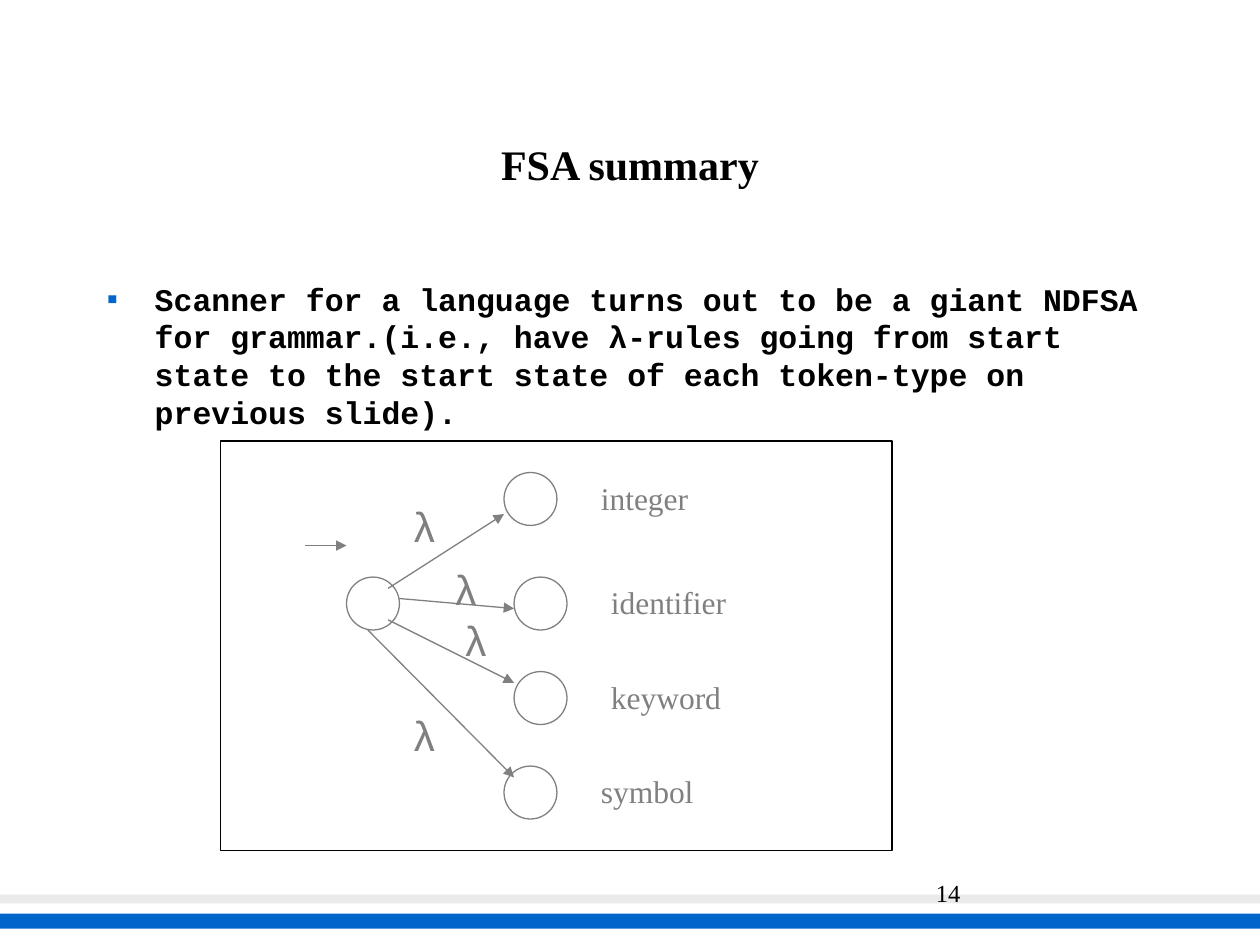
from pptx import Presentation
from pptx.dml.color import RGBColor
from pptx.enum.shapes import MSO_CONNECTOR as Connector, MSO_SHAPE as Shape
from pptx.enum.text import MSO_ANCHOR as Anchor, MSO_AUTO_SIZE as AutoSize, PP_ALIGN as Align
from pptx.oxml.ns import qn
from pptx.util import Inches, Pt
from lxml import etree

BLACK, GREY, WHITE, BLUE, PALE = "000000", "808080", "FFFFFF", "0066CC", "EAEAEA"
SERIF, MONO = "Times New Roman", "Courier New"
STATE_SIZE = 0.42


def color(value):
    return RGBColor.from_string(value)


class SlideBuilder:
    def __init__(self, page):
        self.page = page
        self.line_width = Pt(0.75)

    def shape(self, kind, left, top, width, height, fill, line=None):
        item = self.page.shapes.add_shape(
            kind, Inches(left), Inches(top), Inches(width), Inches(height))
        item.shadow.inherit = False
        item.fill.solid()
        item.fill.fore_color.rgb = color(fill)
        if line:
            item.line.color.rgb = color(line)
            item.line.width = self.line_width
        else:
            item.line.fill.background()

    def state(self, left, top):
        self.shape(Shape.OVAL, left, top, STATE_SIZE, STATE_SIZE, WHITE, GREY)

    def text(self, words, left, top, width, height, size, font=SERIF, ink=BLACK,
             bold=False, align=Align.LEFT, anchor=Anchor.TOP, wrap=True,
             grow=False, bullet=None):
        box = self.page.shapes.add_textbox(
            Inches(left), Inches(top), Inches(width), Inches(height))
        frame = box.text_frame
        frame.text = words
        frame.word_wrap = wrap
        frame.vertical_anchor = anchor
        frame.auto_size = AutoSize.SHAPE_TO_FIT_TEXT if grow else AutoSize.NONE
        para = frame.paragraphs[0]
        para.alignment = align
        if bullet:
            self.bullet(para, bullet)
        span = para.runs[0]
        span.font.name = font
        span.font.size = Pt(size)
        span.font.bold = bold
        span.font.color.rgb = color(ink)

    def bullet(self, para, mark):
        props = para._p.get_or_add_pPr()
        props.set("marL", str(Inches(0.38)))
        props.set("indent", str(Inches(-0.38)))
        tint = etree.SubElement(props, qn("a:buClr"))
        etree.SubElement(tint, qn("a:srgbClr"), val=BLUE)
        etree.SubElement(props, qn("a:buFont"), typeface=SERIF)
        etree.SubElement(props, qn("a:buChar"), char=mark)

    def arrow(self, start, end):
        line = self.page.shapes.add_connector(
            Connector.STRAIGHT, *[Inches(value) for value in (*start, *end)])
        line.line.color.rgb = color(GREY)
        line.line.width = self.line_width
        etree.SubElement(line.line._get_or_add_ln(), qn("a:tailEnd"), type="triangle")
        etree.SubElement(line._element.spPr, qn("a:effectLst"))


def main():
    deck = Presentation()
    deck.slide_width, deck.slide_height = Inches(10), Inches(7.5)
    page = deck.slides.add_slide(deck.slide_layouts[6])
    builder = SlideBuilder(page)

    # Footer bars and page number
    builder.shape(Shape.RECTANGLE, 0, 7.25, 10, 0.12, BLUE)
    builder.shape(Shape.RECTANGLE, 0, 7.1, 10, 0.07, PALE)
    builder.text("14", 7.33, 6.92, 2.08, 0.5, 14)

    # Title and body
    builder.text("FSA summary", 0.75, 0.67, 8.5, 1.25, 24, bold=True,
                 align=Align.CENTER, anchor=Anchor.MIDDLE)
    builder.text("Scanner for a language turns out to be a giant NDFSA for grammar."
                 "(i.e., have λ-rules going from start state to the start state of "
                 "each token-type on previous slide).",
                 0.75, 2.17, 8.5, 4.5, 18, font=MONO, bold=True, bullet="▪")

    # Diagram frame and start state
    builder.shape(Shape.RECTANGLE, 1.75, 3.5, 5.33, 3.25, WHITE, BLACK)
    builder.state(2.75, 4.58)
    builder.arrow((2.42, 4.33), (2.75, 4.33))

    # Token states: name, state corner, label width, arrow ends, λ corner
    tokens = [
        ("integer", (4, 3.75), 1.08, (3.08, 4.67), (4, 4.08), (3.17, 3.92)),
        ("identifier", (4.08, 4.58), 1.33, (3.17, 4.75), (4.08, 4.83), (3.5, 4.42)),
        ("keyword", (4.08, 5.33), 1.08, (3.08, 4.92), (4.08, 5.42), (3.58, 4.83)),
        ("symbol", (4, 6.08), 1.08, (2.92, 5), (4.08, 6.17), (3.17, 5.58)),
    ]
    for name, (left, top), width, start, end, mark in tokens:
        builder.state(left, top)
        builder.text(name, left + 0.67, top, width, 0.4, 18, ink=GREY, grow=True)
        builder.arrow(start, end)
        builder.text("λ", *mark, 0.38, 0.5, 24, font=MONO, ink=GREY,
                     wrap=False, grow=True)

    deck.save("out.pptx")


if __name__ == "__main__":
    main()
